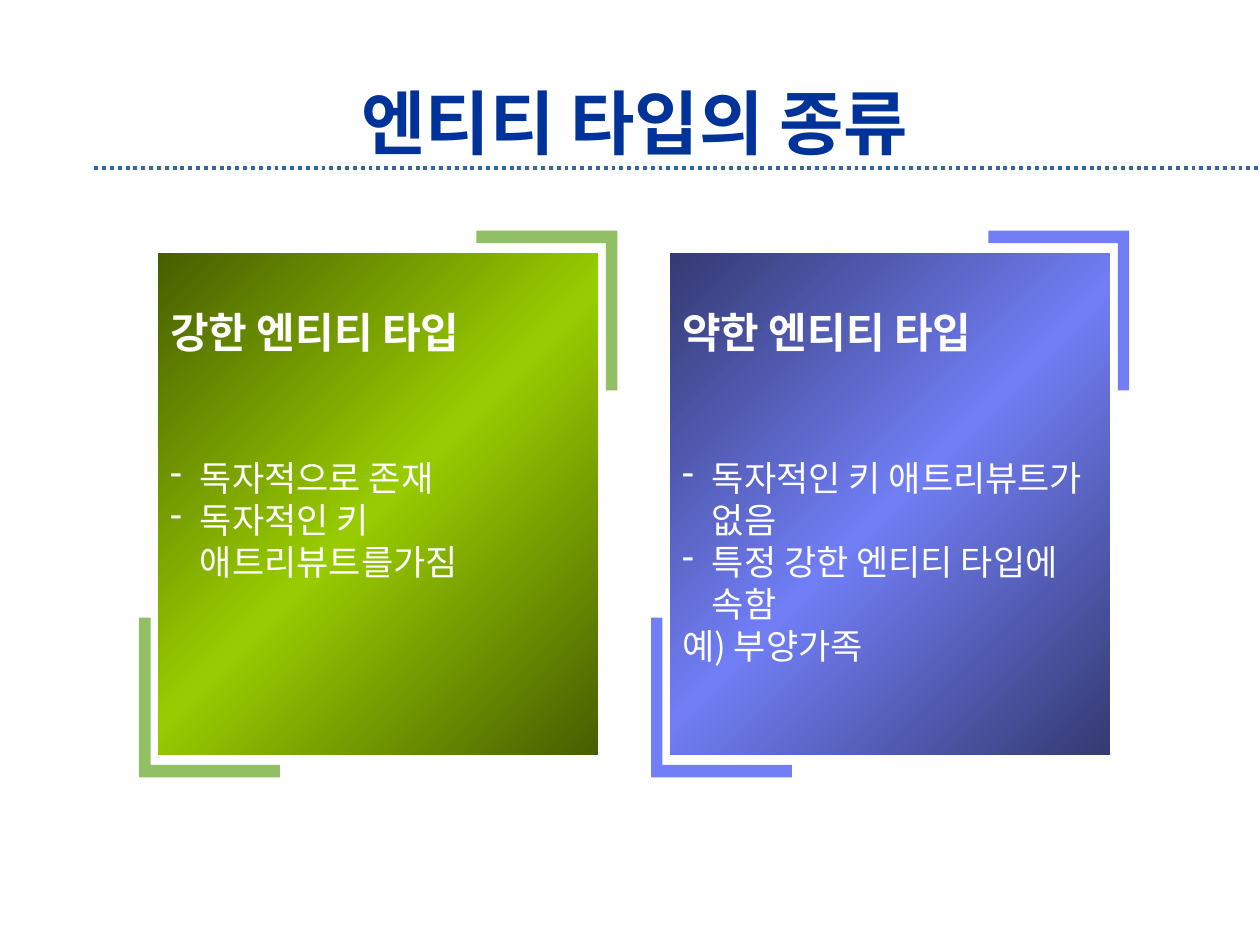
from pptx import Presentation
from pptx.dml.color import RGBColor
from pptx.enum.dml import MSO_LINE
from pptx.enum.shapes import MSO_CONNECTOR, MSO_SHAPE
from pptx.enum.text import MSO_ANCHOR, PP_ALIGN
from pptx.oxml import parse_xml
from pptx.oxml.ns import nsdecls, qn
from pptx.util import Cm, Pt
from lxml.etree import SubElement

FONT = "Noto Sans CJK KR"
WHITE = RGBColor(0xFF, 0xFF, 0xFF)
NAVY = RGBColor(0x00, 0x33, 0x99)
STEEL = RGBColor(0x33, 0x66, 0x99)
SAGE = RGBColor(0x91, 0xBF, 0x63)
LIME = RGBColor(0x99, 0xCC, 0x00)
OLIVE = RGBColor(0x47, 0x5E, 0x00)
VIOLET = RGBColor(0x71, 0x7E, 0xF5)
INDIGO = RGBColor(0x34, 0x3A, 0x71)

BOX_W, BOX_H, BOX_TOP = 8.89, 10.16, 5.08
BRACKET = [(-4.59, 5.26), (-4.59, 2.29), (-4.82, 2.29),
           (-4.82, 5.51), (-1.98, 5.51), (-1.98, 5.26)]
CARDS = [
    (3.18, SAGE, LIME, OLIVE, "강한 엔티티 타입",
     [("독자적으로 존재", True), ("독자적인 키 애트리뷰트를가짐", True)]),
    (13.5, VIOLET, VIOLET, INDIGO, "약한 엔티티 타입",
     [("독자적인 키 애트리뷰트가 없음", True),
      ("특정 강한 엔티티 타입에 속함", True), ("예) 부양가족", False)]),
]


def write(p, text, size, color, bold=False):
    p.text = text
    f = p.runs[0].font
    f.name, f.size, f.bold = FONT, Pt(size), bold
    f.color.rgb = color
    ea = SubElement(f._element, qn("a:ea"))
    ea.set("typeface", FONT)


def fill_gradient(sp, edge, middle):
    sp.fill.background()
    old = sp._element.spPr.find(qn("a:noFill"))
    stops = "".join(
        f'<a:gs pos="{pos}"><a:srgbClr val="{color}"/></a:gs>'
        for pos, color in ((0, edge), (50000, middle), (100000, edge)))
    old.getparent().replace(old, parse_xml(
        f'<a:gradFill {nsdecls("a")} rotWithShape="1"><a:gsLst>{stops}</a:gsLst>'
        '<a:lin ang="2700000" scaled="0"/></a:gradFill>'))


prs = Presentation()
prs.slide_width, prs.slide_height = Cm(25.4), Cm(19.05)
s = prs.slides.add_slide(prs.slide_layouts[6])

rule = s.shapes.add_connector(MSO_CONNECTOR.STRAIGHT, Cm(1.9), Cm(3.39), Cm(25.4), Cm(3.39))
rule.line.color.rgb = STEEL
rule.line.width = Pt(2.25)
rule.line.dash_style = MSO_LINE.ROUND_DOT
SubElement(rule._element.spPr, qn("a:effectLst"))

title = s.shapes.add_textbox(Cm(1.9), Cm(1.7), Cm(21.8), Cm(1.48))
tf = title.text_frame
tf.word_wrap = True
tf.vertical_anchor = MSO_ANCHOR.MIDDLE
p = tf.paragraphs[0]
p.alignment = PP_ALIGN.CENTER
write(p, "엔티티 타입의 종류", 40, NAVY, True)

for left, bracket_color, middle, edge, heading, lines in CARDS:
    cx, cy = left + BOX_W / 2, BOX_TOP + BOX_H / 2
    for sign in (1, -1):
        points = [(Cm(cx + sign * x), Cm(cy + sign * y)) for x, y in BRACKET]
        fb = s.shapes.build_freeform(*points[0])
        fb.add_line_segments(points[1:], close=True)
        sp = fb.convert_to_shape()
        sp.shadow.inherit = False
        sp.fill.solid()
        sp.fill.fore_color.rgb = bracket_color
        sp.line.fill.background()

    sp = s.shapes.add_shape(MSO_SHAPE.RECTANGLE, Cm(left), Cm(BOX_TOP), Cm(BOX_W), Cm(BOX_H))
    sp.shadow.inherit = False
    fill_gradient(sp, edge, middle)
    sp.line.color.rgb = WHITE
    sp.line.width = Pt(0.75)
    tf = sp.text_frame
    tf.word_wrap = True
    tf.vertical_anchor = MSO_ANCHOR.TOP
    tf.margin_top = Cm(1.09)
    p = tf.paragraphs[0]
    p.alignment = PP_ALIGN.LEFT
    p.line_spacing = Pt(29)
    p.space_after = Pt(57)
    write(p, heading, 24, WHITE, True)
    for text, bulleted in lines:
        p = tf.add_paragraph()
        p.alignment = PP_ALIGN.LEFT
        p.line_spacing = Pt(24)
        write(p, text, 20, WHITE)
        if bulleted:
            pPr = p._p.get_or_add_pPr()
            pPr.set("marL", str(Cm(0.6)))
            pPr.set("indent", str(-Cm(0.6)))
            SubElement(pPr, qn("a:buChar")).set("char", "-")

prs.save("out.pptx")
